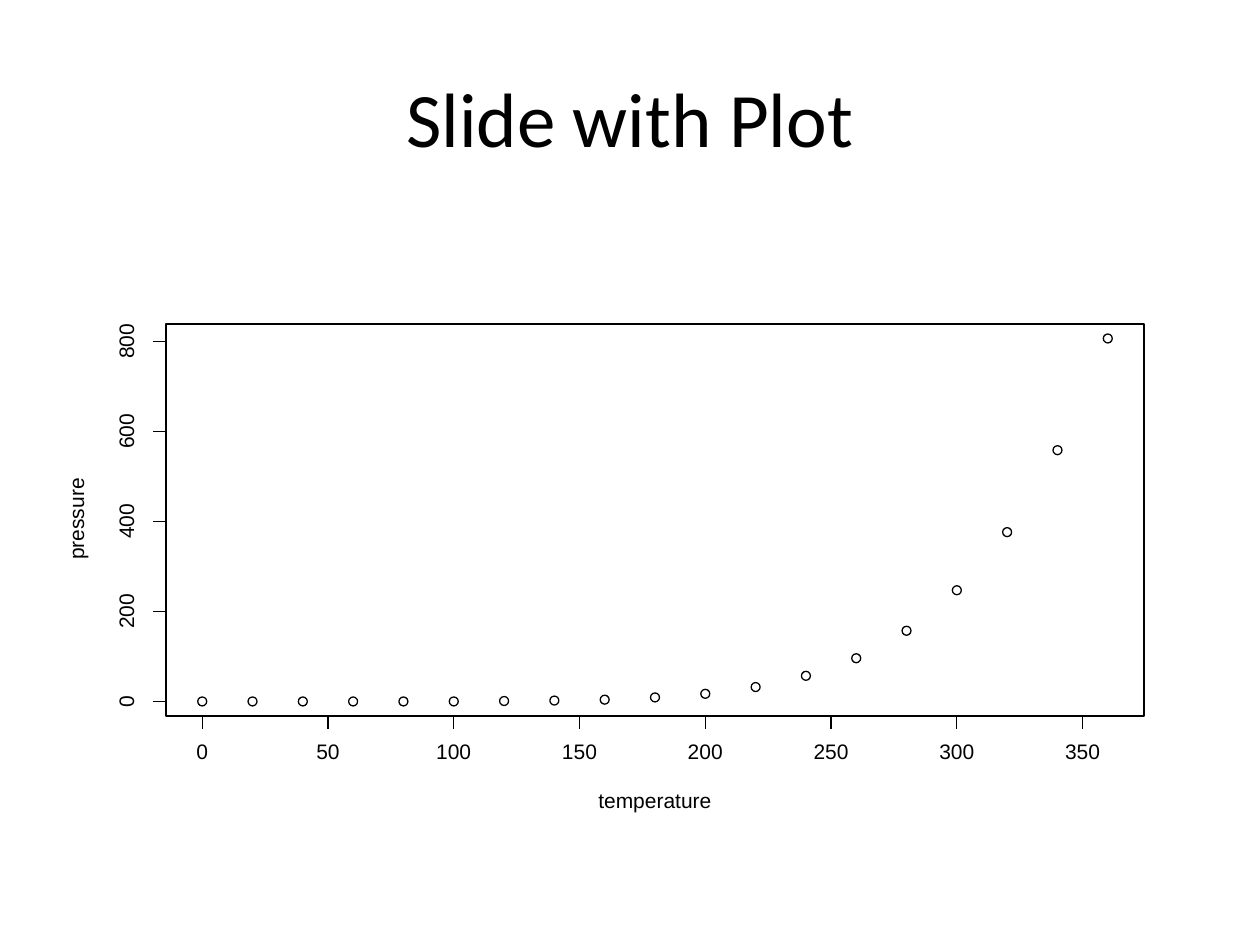
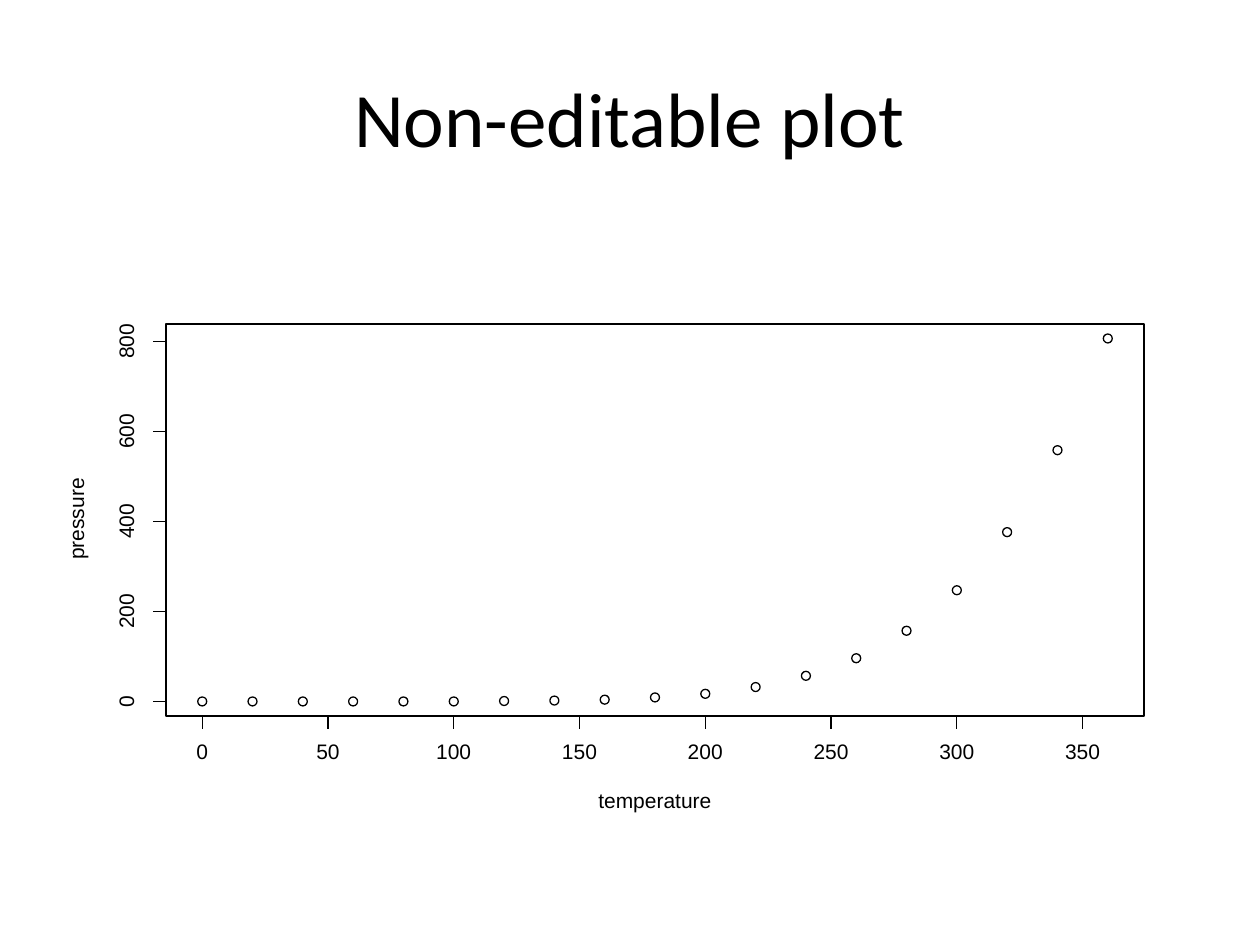
"""Build two slides that show the vapour pressure scatter plot."""
from dataclasses import dataclass

from lxml import etree
from pptx import Presentation
from pptx import util as u
from pptx.dml.color import RGBColor
from pptx.enum import shapes, text
from pptx.oxml.ns import qn

PIXEL = 914400 / 126


@dataclass(frozen=True)
class Theme:
    ink: RGBColor = RGBColor(0, 0, 0)
    paper: RGBColor = RGBColor(255, 255, 255)
    title_font: str = "Calibri"
    plot_font: str = "Arial"
    title_size: u.Pt = u.Pt(44)
    plot_size: u.Pt = u.Pt(12)
    line_width: u.Pt = u.Pt(0.75)


@dataclass(frozen=True)
class Box:
    left: float
    top: float
    width: float
    height: float

    @classmethod
    def around(cls, x: float, y: float, width: float, height: float):
        return cls(x - width / 2, y - height / 2, width, height)

    def emu(self) -> list[int]:
        return [px(n) for n in (self.left, self.top, self.width, self.height)]


@dataclass(frozen=True)
class Scale:
    """Maps data to pixels, with a margin of 4 % of the data at both ends."""
    data_max: float
    start: int
    end: int

    def at(self, value: float) -> float:
        share = (value / self.data_max + 0.04) / 1.08
        return self.start + share * (self.end - self.start)


@dataclass(frozen=True)
class Label:
    words: str
    x: float
    y: float
    width: int
    height: int = 15
    rotation: int = 0


THEME = Theme()
SLIDE_SIZE = (1260, 945)
TITLE_BOX = Box(63, 38, 1134, 157)
CANVAS = Box(63, 220, 1134, 624)
FRAME = Box(166, 324, 978, 392)
FRAME_BOTTOM = FRAME.top + FRAME.height
TICK_LENGTH = 13
MARKER = 9
DIGIT_WIDTH = 12
TEMPERATURE_LABEL_Y = 753
PRESSURE_LABEL_X = 128

TITLES = ("Slide with Plot", "Non-editable plot")
TEMPERATURES = range(0, 361, 20)
PRESSURES = (0, 0, 0, 0, 0, 0, 1, 2, 4, 9, 17, 32, 57, 96, 157, 247, 376, 558, 806)
TEMPERATURE_TICKS = range(0, 351, 50)
PRESSURE_TICKS = range(0, 801, 200)
AXIS_TITLES = (
    Label("temperature", 655, 802, 124, 19),
    Label("pressure", 78, 519, 90, rotation=270),
)
TEMPERATURE_SCALE = Scale(max(TEMPERATURES), FRAME.left, FRAME.left + FRAME.width)
PRESSURE_SCALE = Scale(max(PRESSURES), FRAME_BOTTOM, FRAME.top)


def px(pixels: float) -> int:
    return round(pixels * PIXEL)


def apply(target, formats: dict) -> None:
    for name, value in formats.items():
        setattr(target, name, value)


def write(box, words: str, frame: dict, paragraph: dict, font: dict) -> None:
    apply(box.text_frame, {"vertical_anchor": text.MSO_ANCHOR.MIDDLE} | frame)
    line = box.text_frame.paragraphs[0]
    apply(line, {"alignment": text.PP_ALIGN.CENTER} | paragraph)
    run = line.add_run()
    run.text = words
    apply(run.font, font)
    run.font.color.rgb = THEME.ink


def draw_title(slide, words: str) -> None:
    box = slide.shapes.add_textbox(*TITLE_BOX.emu())
    write(box, words, {"word_wrap": True}, {},
          {"name": THEME.title_font, "size": THEME.title_size})


def draw_label(plot, label: Label) -> None:
    area = Box.around(label.x, label.y, label.width, label.height)
    box = plot.add_textbox(*area.emu())
    box.rotation = label.rotation
    margins = dict.fromkeys(
        ("margin_left", "margin_top", "margin_right", "margin_bottom"), 0)
    write(box, label.words, margins | {"word_wrap": False},
          {"line_spacing": THEME.plot_size},
          {"name": THEME.plot_font, "size": THEME.plot_size})


def draw_outline(plot, kind, box: Box, line: RGBColor, fill: RGBColor | None = None) -> None:
    outline = plot.add_shape(kind, *box.emu())
    outline.shadow.inherit = False
    outline.line.color.rgb = line
    outline.line.width = THEME.line_width
    if fill is None:
        outline.fill.background()
    else:
        outline.fill.solid()
        outline.fill.fore_color.rgb = fill


def draw_line(plot, x1: float, y1: float, x2: float, y2: float) -> None:
    line = plot.add_connector(
        shapes.MSO_CONNECTOR.STRAIGHT, *(px(n) for n in (x1, y1, x2, y2)))
    line.line.color.rgb = THEME.ink
    line.line.width = THEME.line_width
    etree.SubElement(line.element.spPr, qn("a:effectLst"))


def draw_temperature_axis(plot) -> None:
    places = {tick: TEMPERATURE_SCALE.at(tick) for tick in TEMPERATURE_TICKS}
    draw_line(plot, min(places.values()), FRAME_BOTTOM, max(places.values()), FRAME_BOTTOM)
    for tick, x in places.items():
        draw_line(plot, x, FRAME_BOTTOM, x, FRAME_BOTTOM + TICK_LENGTH)
        words = str(tick)
        draw_label(plot, Label(words, x, TEMPERATURE_LABEL_Y, DIGIT_WIDTH * len(words)))


def draw_pressure_axis(plot) -> None:
    places = {tick: PRESSURE_SCALE.at(tick) for tick in PRESSURE_TICKS}
    draw_line(plot, FRAME.left, max(places.values()), FRAME.left, min(places.values()))
    for tick, y in places.items():
        draw_line(plot, FRAME.left, y, FRAME.left - TICK_LENGTH, y)
        words = str(tick)
        draw_label(plot, Label(words, PRESSURE_LABEL_X, y,
                               DIGIT_WIDTH * len(words), rotation=270))


def draw_plot(slide) -> None:
    plot = slide.shapes.add_group_shape().shapes
    rectangle, oval = shapes.MSO_SHAPE.RECTANGLE, shapes.MSO_SHAPE.OVAL
    draw_outline(plot, rectangle, CANVAS, THEME.paper, THEME.paper)
    for temperature, pressure in zip(TEMPERATURES, PRESSURES):
        marker = Box.around(TEMPERATURE_SCALE.at(temperature),
                            PRESSURE_SCALE.at(pressure), MARKER, MARKER)
        draw_outline(plot, oval, marker, THEME.ink)
    draw_temperature_axis(plot)
    draw_pressure_axis(plot)
    draw_outline(plot, rectangle, FRAME, THEME.ink)
    for axis_title in AXIS_TITLES:
        draw_label(plot, axis_title)


def main() -> None:
    deck = Presentation()
    deck.slide_width, deck.slide_height = (px(n) for n in SLIDE_SIZE)
    for title in TITLES:
        slide = deck.slides.add_slide(deck.slide_layouts[6])
        draw_title(slide, title)
        draw_plot(slide)
    deck.save("out.pptx")


main()
